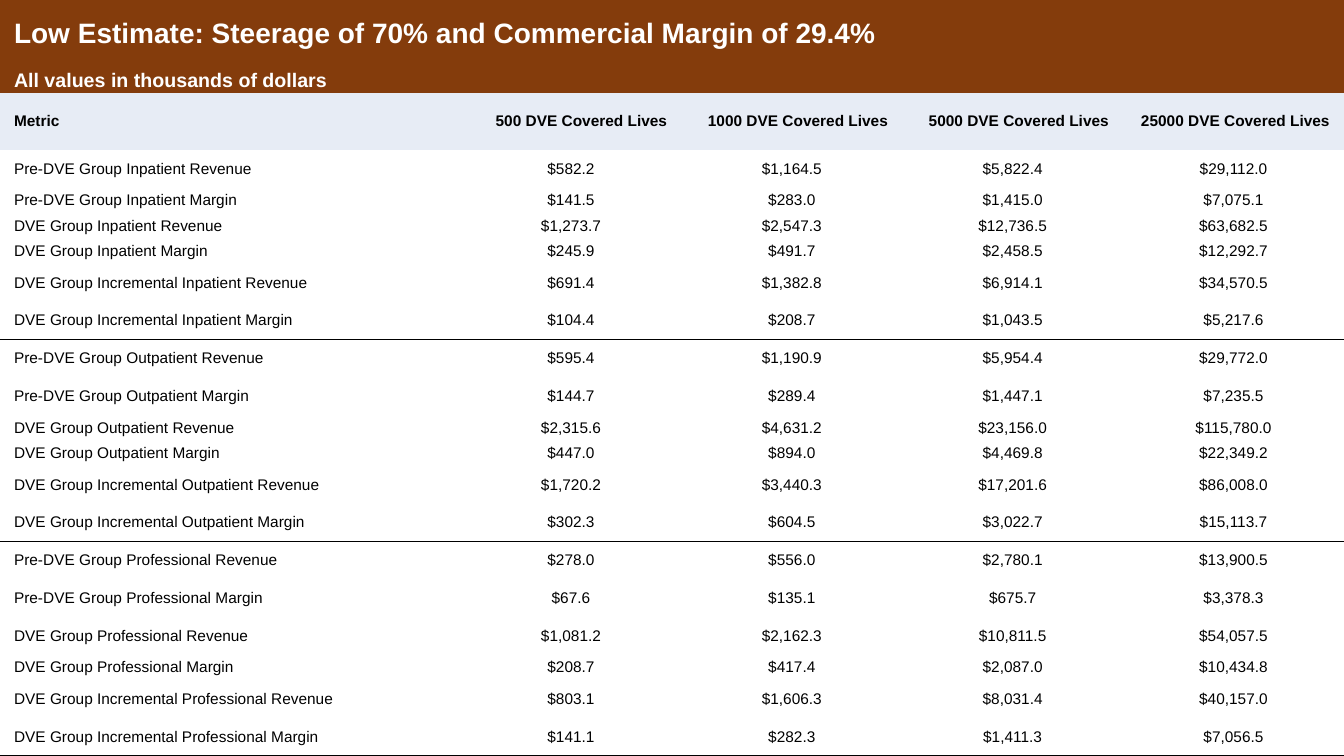
import itertools

import pptx
import pptx.dml.color
import pptx.enum.text
import pptx.oxml
import pptx.oxml.ns
import pptx.util

Pt = pptx.util.Pt
ALIGN = pptx.enum.text.PP_ALIGN
FONT = "Arial"
BROWN, PALE, BLACK, WHITE = "843C0C", "E7ECF5", "000000", "FFFFFF"
NO_STYLE = "{2D5ABB26-0587-4C30-8999-92F81FD0307C}"
INDENT = Pt(10)

SLIDE_W, SLIDE_H = 960, 540
METRIC_W = 329
TALL, SHORT = 27, 18.15
HEADING_HEIGHTS = [48.5, 18.15, 40.5]

TITLES = [
    ("Low Estimate: Steerage of 70% and Commercial Margin of 29.4%", 20),
    ("All values in thousands of dollars", 14),
]
LIVES = [500, 1000, 5000, 25000]
STAGES = ["Pre-DVE Group", "DVE Group", "DVE Group Incremental"]
MEASURES = ["Revenue", "Margin"]

# Each group: row heights, then values for every stage and measure
GROUPS = {
    "Inpatient": ([TALL, SHORT, SHORT, SHORT, TALL, TALL], [
        [582.2, 1164.5, 5822.4, 29112.0],
        [141.5, 283.0, 1415.0, 7075.1],
        [1273.7, 2547.3, 12736.5, 63682.5],
        [245.9, 491.7, 2458.5, 12292.7],
        [691.4, 1382.8, 6914.1, 34570.5],
        [104.4, 208.7, 1043.5, 5217.6],
    ]),
    "Outpatient": ([TALL, TALL, SHORT, SHORT, TALL, TALL], [
        [595.4, 1190.9, 5954.4, 29772.0],
        [144.7, 289.4, 1447.1, 7235.5],
        [2315.6, 4631.2, 23156.0, 115780.0],
        [447.0, 894.0, 4469.8, 22349.2],
        [1720.2, 3440.3, 17201.6, 86008.0],
        [302.3, 604.5, 3022.7, 15113.7],
    ]),
    "Professional": ([TALL, TALL, TALL, SHORT, TALL, TALL], [
        [278.0, 556.0, 2780.1, 13900.5],
        [67.6, 135.1, 675.7, 3378.3],
        [1081.2, 2162.3, 10811.5, 54057.5],
        [208.7, 417.4, 2087.0, 10434.8],
        [803.1, 1606.3, 8031.4, 40157.0],
        [141.1, 282.3, 1411.3, 7056.5],
    ]),
}


def rgb(value):
    return pptx.dml.color.RGBColor.from_string(value)


def set_borders(cell, ruled_side):
    # Every side is stated, so only the ruled one is drawn
    tcPr = cell._tc.get_or_add_tcPr()
    for side in ("L", "R", "T", "B"):
        line = "<a:noFill/>"
        if side == ruled_side:
            line = f'<a:solidFill><a:srgbClr val="{BLACK}"/></a:solidFill>'
        tcPr.append(pptx.oxml.parse_xml(
            f'<a:ln{side} {pptx.oxml.ns.nsdecls("a")} w="{Pt(1)}">'
            f'{line}</a:ln{side}>'))


def write_cell(cell, text, size=11, color=BLACK, bold=False,
               align=ALIGN.LEFT, fill=None, ruled_side=None):
    cell.margin_left = cell.margin_right = 0
    cell.margin_top = cell.margin_bottom = 0
    cell.vertical_anchor = pptx.enum.text.MSO_ANCHOR.MIDDLE
    set_borders(cell, ruled_side)
    if fill:
        cell.fill.solid()
        cell.fill.fore_color.rgb = rgb(fill)
    else:
        cell.fill.background()
    p = cell.text_frame.paragraphs[0]
    p.alignment = align
    pPr = p._p.get_or_add_pPr()
    for name, value in (("marL", INDENT), ("marR", INDENT), ("indent", 0)):
        pPr.set(name, str(value))
    r = p.add_run()
    r.text = text
    r.font.name, r.font.size, r.font.bold = FONT, Pt(size), bold
    r.font.color.rgb = rgb(color)


def fill_headings(table):
    # Title and subtitle bands across all columns
    last = len(LIVES)
    for row, (text, size) in enumerate(TITLES):
        table.cell(row, 0).merge(table.cell(row, last))
        write_cell(table.cell(row, 0), text, size=size, color=WHITE,
                   bold=True, fill=BROWN)
    # Column headings
    row = len(TITLES)
    write_cell(table.cell(row, 0), "Metric", bold=True, fill=PALE)
    for col, lives in enumerate(LIVES, 1):
        write_cell(table.cell(row, col), f"{lives} DVE Covered Lives",
                   bold=True, align=ALIGN.RIGHT, fill=PALE)


def fill_group(table, first_row, group, values, rule_above):
    labels = itertools.product(STAGES, MEASURES)
    for i, ((stage, measure), amounts) in enumerate(zip(labels, values)):
        row = first_row + i
        ruled_side = None
        if i == len(values) - 1:
            ruled_side = "B"
        elif i == 0 and rule_above:
            ruled_side = "T"
        write_cell(table.cell(row, 0), f"{stage} {group} {measure}",
                   ruled_side=ruled_side)
        for col, amount in enumerate(amounts, 1):
            write_cell(table.cell(row, col), f"${amount:,.1f}",
                       align=ALIGN.CENTER, ruled_side=ruled_side)


def add_estimate_table(s, left, top, width, height):
    heights = HEADING_HEIGHTS + [h for hs, _ in GROUPS.values() for h in hs]
    frame = s.shapes.add_table(len(heights), len(LIVES) + 1, Pt(left), Pt(top),
                               Pt(width), Pt(height))
    table = frame.table
    table.first_row = table.horz_banding = False
    table._tbl.tblPr.find(pptx.oxml.ns.qn("a:tableStyleId")).text = NO_STYLE

    # Grid
    lives_w = (width - METRIC_W) / len(LIVES)
    for column, w in zip(table.columns, [METRIC_W] + [lives_w] * len(LIVES)):
        column.width = Pt(w)
    for row, h in zip(table.rows, heights):
        row.height = Pt(h)

    # Headings, then one block of rows per group
    fill_headings(table)
    first_row = len(HEADING_HEIGHTS)
    for i, (group, (_, values)) in enumerate(GROUPS.items()):
        fill_group(table, first_row, group, values, rule_above=i > 0)
        first_row += len(values)


def main():
    prs = pptx.Presentation()
    prs.slide_width, prs.slide_height = Pt(SLIDE_W), Pt(SLIDE_H)
    s = prs.slides.add_slide(prs.slide_layouts.get_by_name("Blank"))
    add_estimate_table(s, 0, 0, SLIDE_W, SLIDE_H)
    prs.save("out.pptx")


if __name__ == "__main__":
    main()
